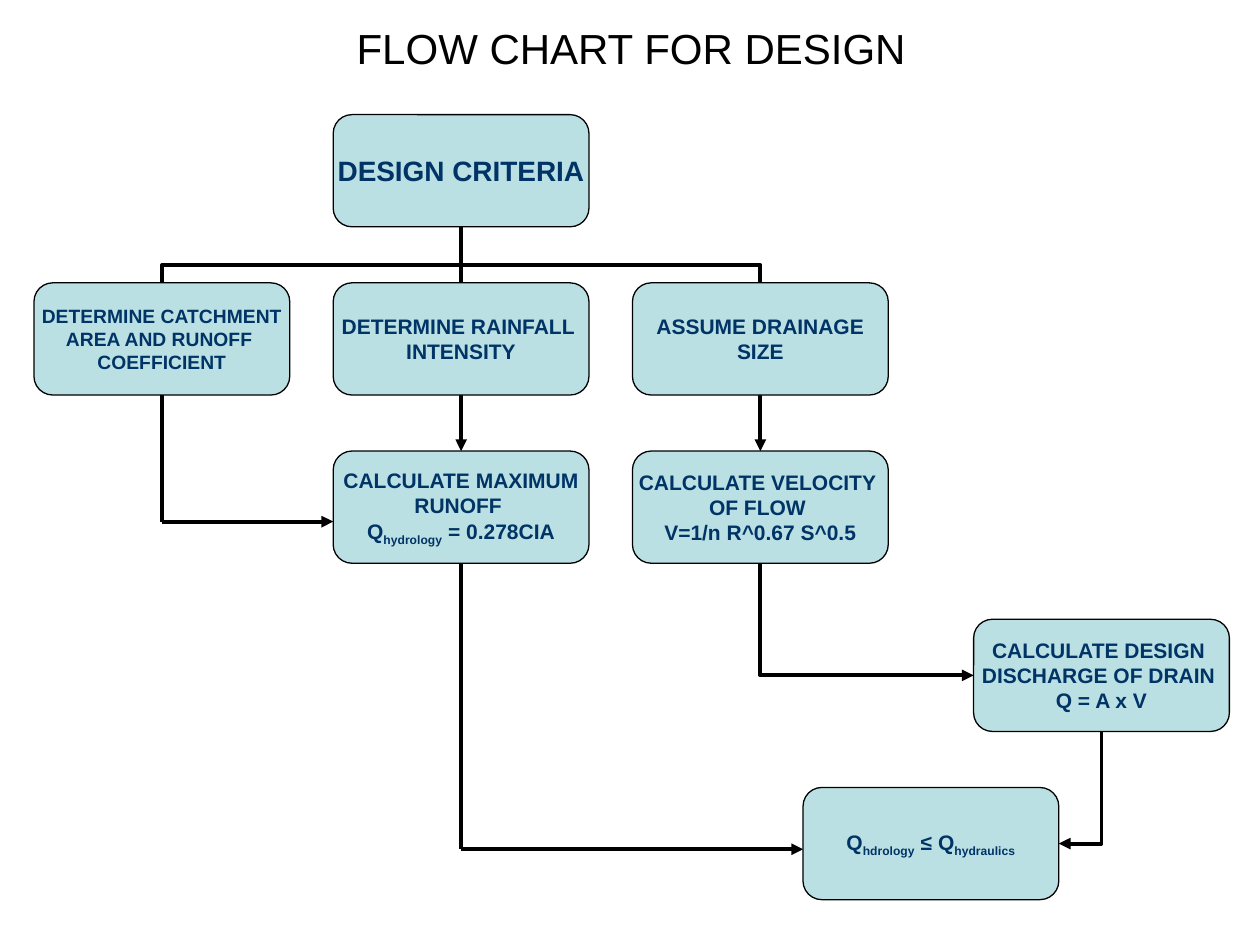
"""Build a flow chart slide for drainage design."""
from dataclasses import dataclass

from lxml import etree
from pptx import Presentation
from pptx.dml.color import RGBColor
from pptx.enum.shapes import MSO_CONNECTOR, MSO_SHAPE
from pptx.enum.text import MSO_ANCHOR, PP_ALIGN
from pptx.oxml.ns import qn
from pptx.util import Inches, Pt

STRAIGHT, ELBOW = MSO_CONNECTOR.STRAIGHT, MSO_CONNECTOR.ELBOW
ROUNDED = MSO_SHAPE.ROUNDED_RECTANGLE
MIDDLE, CENTER = MSO_ANCHOR.MIDDLE, PP_ALIGN.CENTER
COLORS = {"box": "BBE0E3", "text": "003366", "line": "000000", "title": "000000"}
SLIDE_WIDTH, SLIDE_HEIGHT = 10, 7.5
GRID_LEFT, GRID_TOP = 0.27, 0.91
BOX_WIDTH, BOX_HEIGHT = 2.03, 0.89
COLUMN_STEP, ROW_STEP = 2.375, 1.335
BRANCH_BEND = 31800
BOX_FRAME = {"margin_left": 0, "margin_right": 0, "margin_top": 0,
             "margin_bottom": 0, "word_wrap": False, "vertical_anchor": MIDDLE}
TITLE_FRAME = {"word_wrap": True, "vertical_anchor": MIDDLE}


@dataclass(frozen=True)
class Box:
    """A step on the grid; an underscore in a line toggles subscript."""

    column: float
    row: int
    lines: tuple[str, ...]
    size: int = 12

    @property
    def left(self) -> float:
        """Return the left edge in inches."""
        return GRID_LEFT + self.column * COLUMN_STEP

    @property
    def right(self) -> float:
        """Return the right edge in inches."""
        return self.left + BOX_WIDTH

    @property
    def top(self) -> float:
        """Return the top edge in inches."""
        return GRID_TOP + self.row * ROW_STEP

    @property
    def bottom(self) -> float:
        """Return the bottom edge in inches."""
        return self.top + BOX_HEIGHT

    @property
    def center(self) -> float:
        """Return the horizontal centre in inches."""
        return self.left + BOX_WIDTH / 2

    @property
    def middle(self) -> float:
        """Return the vertical centre in inches."""
        return self.top + BOX_HEIGHT / 2


CRITERIA = Box(1, 0, ("DESIGN CRITERIA",), 16)
CATCHMENT = Box(0, 1, ("DETERMINE CATCHMENT", "AREA AND RUNOFF ", "COEFFICIENT"), 11)
RAINFALL = Box(1, 1, ("DETERMINE RAINFALL ", "INTENSITY"))
DRAINAGE = Box(2, 1, ("ASSUME DRAINAGE", "SIZE"))
RUNOFF = Box(1, 2, ("CALCULATE MAXIMUM", "RUNOFF ", "Q_hydrology_ = 0.278CIA"))
VELOCITY = Box(2, 2, ("CALCULATE VELOCITY ", "OF FLOW ", "V=1/n R^0.67 S^0.5"))
DISCHARGE = Box(3.14, 3, ("CALCULATE DESIGN ", "DISCHARGE OF DRAIN ", "Q = A x V"))
CHECK = Box(2.57, 4, ("Q_hdrology_ ≤ Q_hydraulics",))
BOXES = (CRITERIA, CATCHMENT, RAINFALL, DRAINAGE, RUNOFF, VELOCITY, DISCHARGE, CHECK)


def set_attributes(target: object, values: dict) -> None:
    """Set each named value on the target."""
    for name, value in values.items():
        setattr(target, name, value)


def write_lines(shape, lines: tuple[str, ...], frame: dict, font: dict, color: str) -> None:
    """Write centred paragraphs with optional subscripts."""
    text_frame = shape.text_frame
    set_attributes(text_frame, frame)
    for index, line in enumerate(lines):
        paragraph = text_frame.add_paragraph() if index else text_frame.paragraphs[0]
        paragraph.alignment = CENTER
        for position, text in enumerate(line.split("_")):
            run = paragraph.add_run()
            run.text = text
            set_attributes(run.font, {"name": "Arial", **font})
            run.font.color.rgb = RGBColor.from_string(COLORS[color])
            if position % 2:
                run.font._element.set("baseline", "-25000")


def draw_box(slide, box: Box) -> None:
    """Draw one rounded step with its text."""
    shape = slide.shapes.add_shape(ROUNDED, *map(
        Inches, (box.left, box.top, BOX_WIDTH, BOX_HEIGHT)))
    shape.shadow.inherit = False
    shape.adjustments[0] = 0.167
    shape.fill.solid()
    shape.fill.fore_color.rgb = RGBColor.from_string(COLORS["box"])
    shape.line.color.rgb = RGBColor.from_string(COLORS["line"])
    shape.line.width = Pt(0.75)
    write_lines(shape, box.lines, BOX_FRAME, {"size": Pt(box.size), "bold": True}, "text")


def draw_connector(slide, kind, points: tuple[float, ...], arrow: str = ""):
    """Draw a connector with an optional headEnd or tailEnd arrow."""
    connector = slide.shapes.add_connector(kind, *map(Inches, points))
    connector.line.color.rgb = RGBColor.from_string(COLORS["line"])
    connector.line.width = Pt(2.25)
    properties = connector._element.spPr
    if arrow:
        etree.SubElement(properties.find(qn("a:ln")), qn(f"a:{arrow}"), type="triangle")
    etree.SubElement(properties, qn("a:effectLst"))
    return connector


def draw_corner(slide, target: tuple[float, float], source: tuple[float, float]) -> None:
    """Draw a one-bend connector with its arrow at the target."""
    connector = draw_connector(slide, ELBOW, (*target, *source), "headEnd")
    connector._element.spPr.find(qn("a:prstGeom")).set("prst", "bentConnector2")


def draw_branch(slide, parent: Box, child: Box) -> None:
    """Draw a rotated two-bend connector from the child up to its parent."""
    center_x = (parent.center + child.center) / 2
    center_y = (parent.bottom + child.top) / 2
    half_rise = (child.top - parent.bottom) / 2
    half_run = (child.center - parent.center) / 2
    connector = draw_connector(slide, ELBOW, (
        center_x - half_rise, center_y + half_run,
        center_x + half_rise, center_y - half_run))
    properties = connector._element.spPr
    properties.find(qn("a:xfrm")).set("rot", str(270 * 60000))
    guides = properties.find(qn("a:prstGeom")).find(qn("a:avLst"))
    etree.SubElement(guides, qn("a:gd"), name="adj1", fmla=f"val {BRANCH_BEND}")


def draw_drop(slide, source: Box, target: Box, level: float) -> None:
    """Draw a line down from the source and an arrow across to the target."""
    draw_connector(slide, STRAIGHT, (source.center, source.bottom, source.center, level))
    draw_connector(slide, STRAIGHT, (source.center, level, target.left, level), "tailEnd")


def main() -> None:
    """Build and save the slide."""
    presentation = Presentation()
    set_attributes(presentation, {"slide_width": Inches(SLIDE_WIDTH),
                                  "slide_height": Inches(SLIDE_HEIGHT)})
    slide = presentation.slides.add_slide(presentation.slide_layouts[6])
    title = slide.shapes.add_textbox(*map(Inches, (
        0.051 * SLIDE_WIDTH, 0, 0.9 * SLIDE_WIDTH, 0.1 * SLIDE_HEIGHT)))
    write_lines(title, ("FLOW CHART FOR DESIGN",), TITLE_FRAME, {"size": Pt(24)}, "title")

    draw_corner(slide, (CHECK.right, CHECK.middle), (DISCHARGE.center, DISCHARGE.bottom))
    draw_corner(slide, (DISCHARGE.left, DISCHARGE.middle), (VELOCITY.center, VELOCITY.bottom))
    for child in (CATCHMENT, DRAINAGE):
        draw_branch(slide, CRITERIA, child)
    for source, target, arrow in ((CRITERIA, RAINFALL, ""), (RAINFALL, RUNOFF, "tailEnd"),
                                  (DRAINAGE, VELOCITY, "tailEnd")):
        draw_connector(slide, STRAIGHT, (
            source.center, source.bottom, target.center, target.top), arrow)
    for box in BOXES:
        draw_box(slide, box)
    draw_drop(slide, CATCHMENT, RUNOFF, 4.14)
    draw_drop(slide, RUNOFF, CHECK, 6.74)
    presentation.save("out.pptx")


if __name__ == "__main__":
    main()
